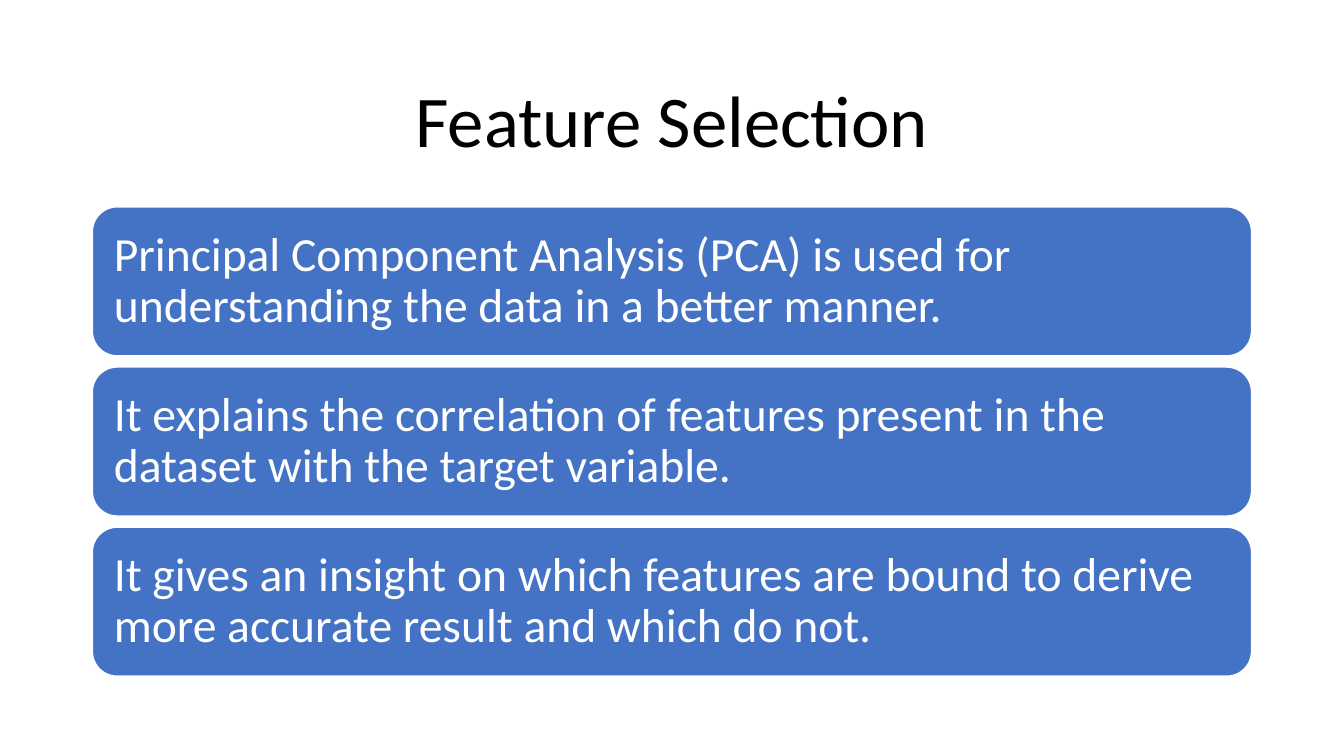
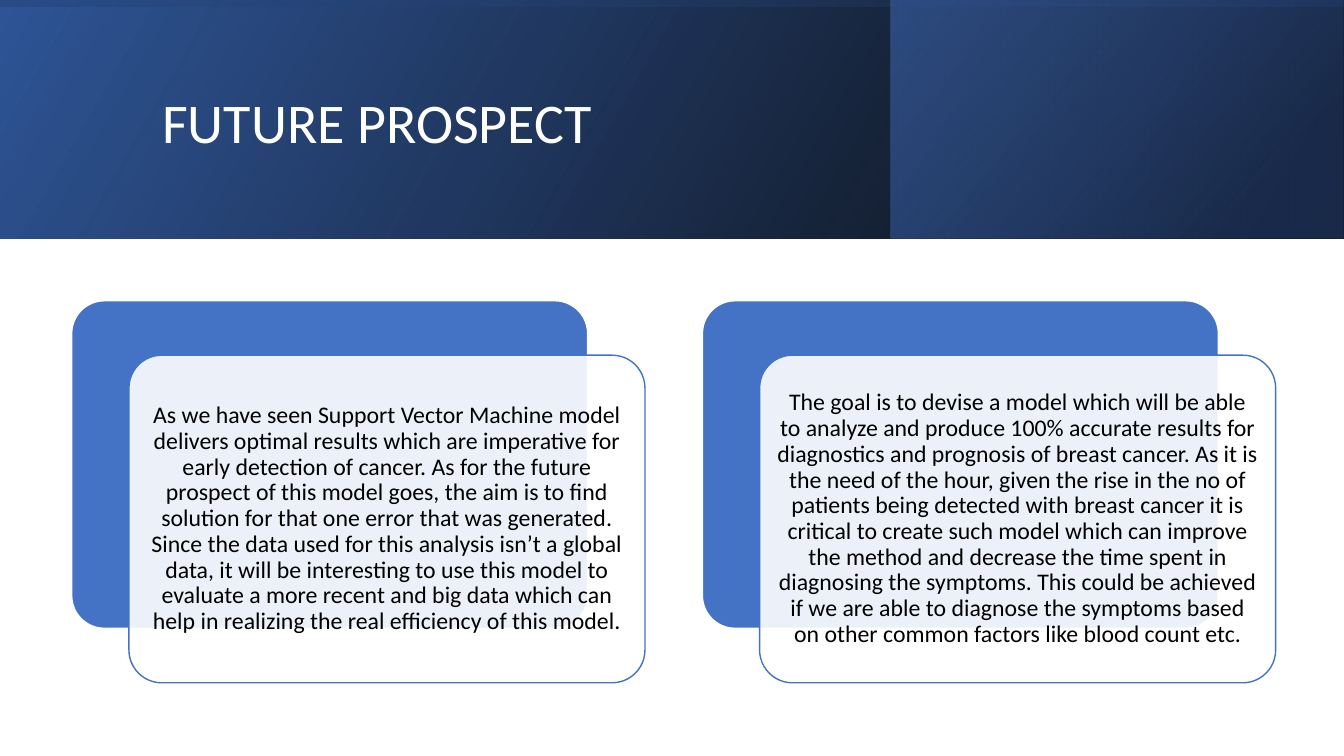
from pptx import Presentation
from pptx.dml.color import RGBColor
from pptx.enum import shapes, text
from pptx.oxml import ns, xmlchemy
from pptx.util import Pt

FONT = "Calibri"
BLACK = RGBColor(0x00, 0x00, 0x00)
WHITE = RGBColor(0xFF, 0xFF, 0xFF)
BLUE = RGBColor(0x44, 0x72, 0xC4)
DEEP_BLUE = RGBColor(0x2F, 0x55, 0x97)
NAVY = RGBColor(0x20, 0x38, 0x64)

SLIDE_W, SLIDE_H = 960, 540
BAND_H = 170.6

FEATURES = [
    "Principal Component Analysis (PCA) is used for understanding the data in a better manner.",
    "It explains the correlation of features present in the dataset with the target variable.",
    "It gives an insight on which features are bound to derive more accurate result and which do not.",
]
PROSPECTS = [
    "As we have seen Support Vector Machine model delivers optimal results which are "
    "imperative for early detection of cancer. As for the future prospect of this model goes, "
    "the aim is to find solution for that one error that was generated. Since the data used for "
    "this analysis isn’t a global data, it will be interesting to use this model to evaluate a "
    "more recent and big data which can help in realizing the real efficiency of this model.",
    "The goal is to devise a model which will be able to analyze and produce 100% accurate "
    "results for diagnostics and prognosis of breast cancer. As it is the need of the hour, "
    "given the rise in the no of patients being detected with breast cancer it is critical to "
    "create such model which can improve the method and decrease the time spent in diagnosing "
    "the symptoms. This could be achieved if we are able to diagnose the symptoms based on other "
    "common factors like blood count etc.",
]


def set_text(sp, content, size, color, align, inset=None):
    tf = sp.text_frame
    tf.text = content
    tf.word_wrap = True
    tf.auto_size = text.MSO_AUTO_SIZE.NONE
    tf.vertical_anchor = text.MSO_ANCHOR.MIDDLE
    if inset is not None:
        tf.margin_left = tf.margin_right = tf.margin_top = tf.margin_bottom = Pt(inset)
    p = tf.paragraphs[0]
    p.alignment = align
    p.line_spacing = 0.9
    font = p.runs[0].font
    font.name, font.size, font.color.rgb = FONT, Pt(size), color


def set_alpha(color_element, percent):
    alpha = xmlchemy.OxmlElement("a:alpha")
    alpha.set("val", str(percent * 1000))
    color_element.append(alpha)


def add_title(slide, content, box, size, color, align):
    sp = slide.shapes.title
    sp.left, sp.top, sp.width, sp.height = map(Pt, box)
    set_text(sp, content, size, color, align)
    slide.shapes._spTree.append(sp._element)


def add_card(slide, box, fill, line, radius=None, opacity=100):
    sp = slide.shapes.add_shape(shapes.MSO_SHAPE.ROUNDED_RECTANGLE, *map(Pt, box))
    sp.shadow.inherit = False
    if radius is not None:
        sp.adjustments[0] = radius
    sp.fill.solid()
    sp.fill.fore_color.rgb = fill
    if opacity < 100:
        set_alpha(sp._element.spPr.find(ns.qn("a:solidFill"))[0], opacity)
    sp.line.color.rgb = line
    sp.line.width = Pt(1)
    return sp


def add_gradient(slide, box, stops, angle, rotation=0):
    sp = slide.shapes.add_shape(shapes.MSO_SHAPE.RECTANGLE, *map(Pt, box))
    sp.shadow.inherit = False
    sp.rotation = rotation
    sp._element.spPr.find(ns.qn("a:xfrm")).set("flipH", "1")
    sp.line.fill.background()
    sp.fill.gradient()
    sp.fill.gradient_angle = 360 - angle
    for stop, (position, color, _) in zip(sp.fill.gradient_stops, stops):
        stop.position = position
        stop.color.rgb = color
    colors = sp._element.spPr.find(ns.qn("a:gradFill")).iter(ns.qn("a:srgbClr"))
    for element, (_, _, opacity) in zip(list(colors), stops):
        if opacity < 100:
            set_alpha(element, opacity)


def add_header_band(slide):
    panel_left = 636.5
    add_gradient(slide, (0, 0, SLIDE_W, BAND_H),
                 [(0, BLACK, 96), (1, DEEP_BLUE, 100)], 330)
    add_gradient(slide, (panel_left, 0, SLIDE_W - panel_left, BAND_H),
                 [(0.19, NAVY, 68), (1, BLUE, 48)], 320)
    shift = (SLIDE_W - BAND_H) / 2
    add_gradient(slide, (shift, -shift, BAND_H, SLIDE_W),
                 [(0.23, DEEP_BLUE, 16), (0.99, BLACK, 45)], 350, 270)


def build_features(slide):
    add_title(slide, "Feature Selection", (66, 44, 828, 89.3), 52, BLACK,
              text.PP_ALIGN.CENTER)
    for i, content in enumerate(FEATURES):
        sp = add_card(slide, (66, 147.8 + i * 114.4, 828, 106.4), BLUE, WHITE)
        set_text(sp, content, 34, WHITE, text.PP_ALIGN.LEFT, 10.2)


def build_prospects(slide):
    add_header_band(slide)
    add_title(slide, "FUTURE PROSPECT", (108.7, 27.4, 765.4, 123.8), 40, WHITE,
              text.PP_ALIGN.LEFT)
    top, width, height = 214.8, 368.6, 234
    for i, content in enumerate(PROSPECTS):
        left = 51.2 + i * 450.5
        add_card(slide, (left, top, width, height), BLUE, WHITE, 0.1)
        sp = add_card(slide, (left + 40.9, top + 38.9, width, height), WHITE, BLUE, 0.1, 90)
        set_text(sp, content, 17, BLACK, text.PP_ALIGN.CENTER, 5.1)


def main():
    prs = Presentation()
    prs.slide_width, prs.slide_height = Pt(SLIDE_W), Pt(SLIDE_H)
    for build in (build_features, build_prospects):
        build(prs.slides.add_slide(prs.slide_layouts[5]))
    prs.save("out.pptx")


if __name__ == "__main__":
    main()
